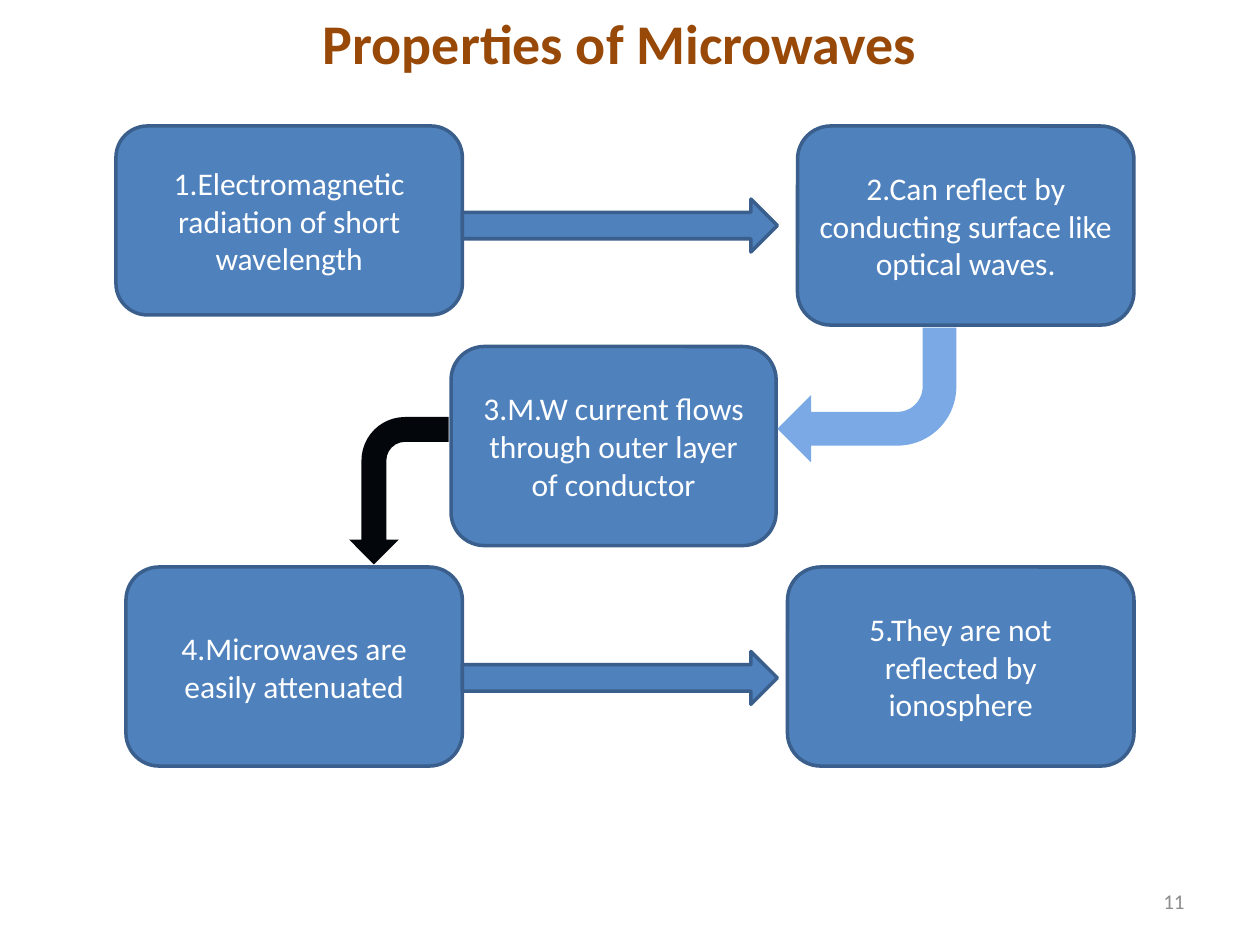
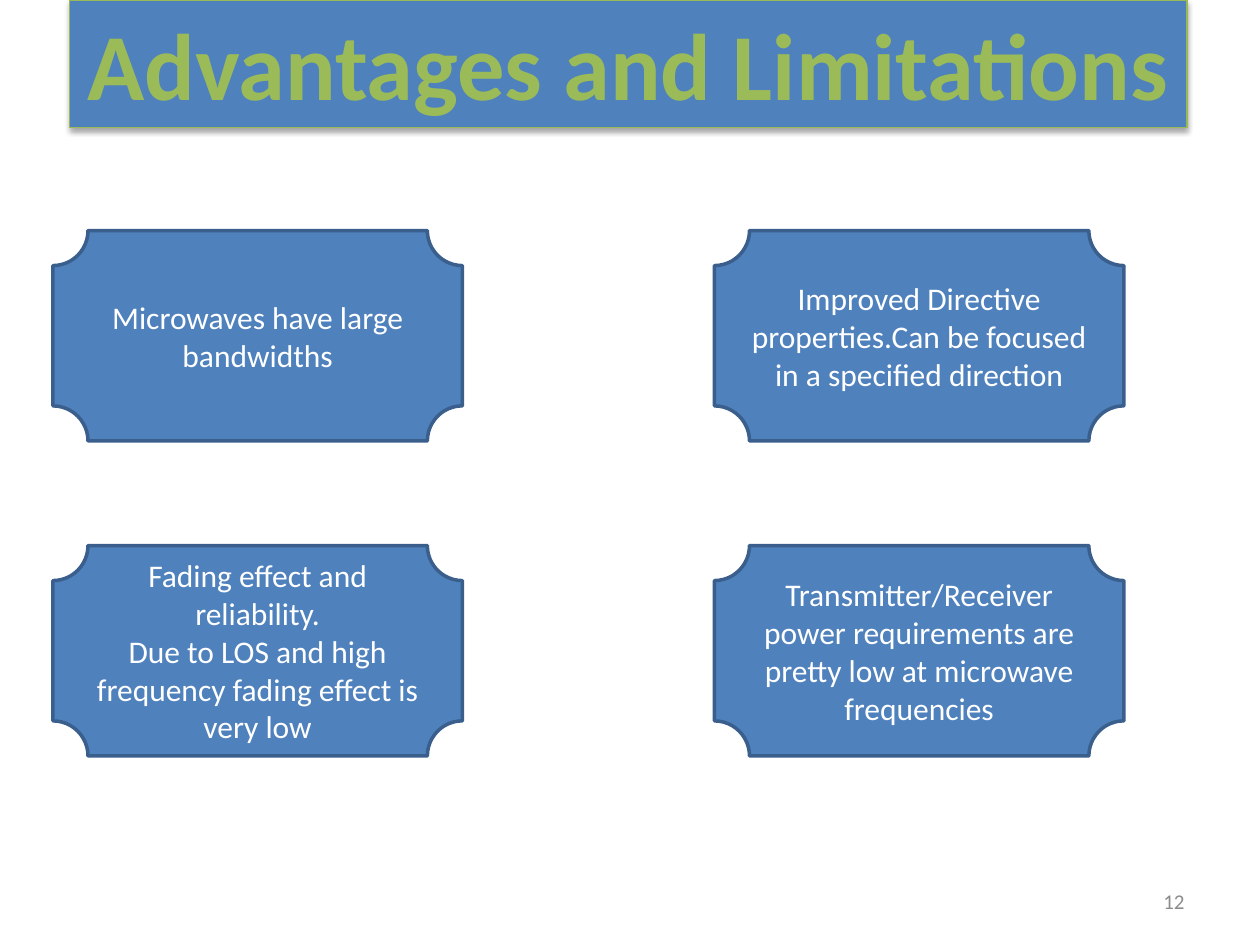
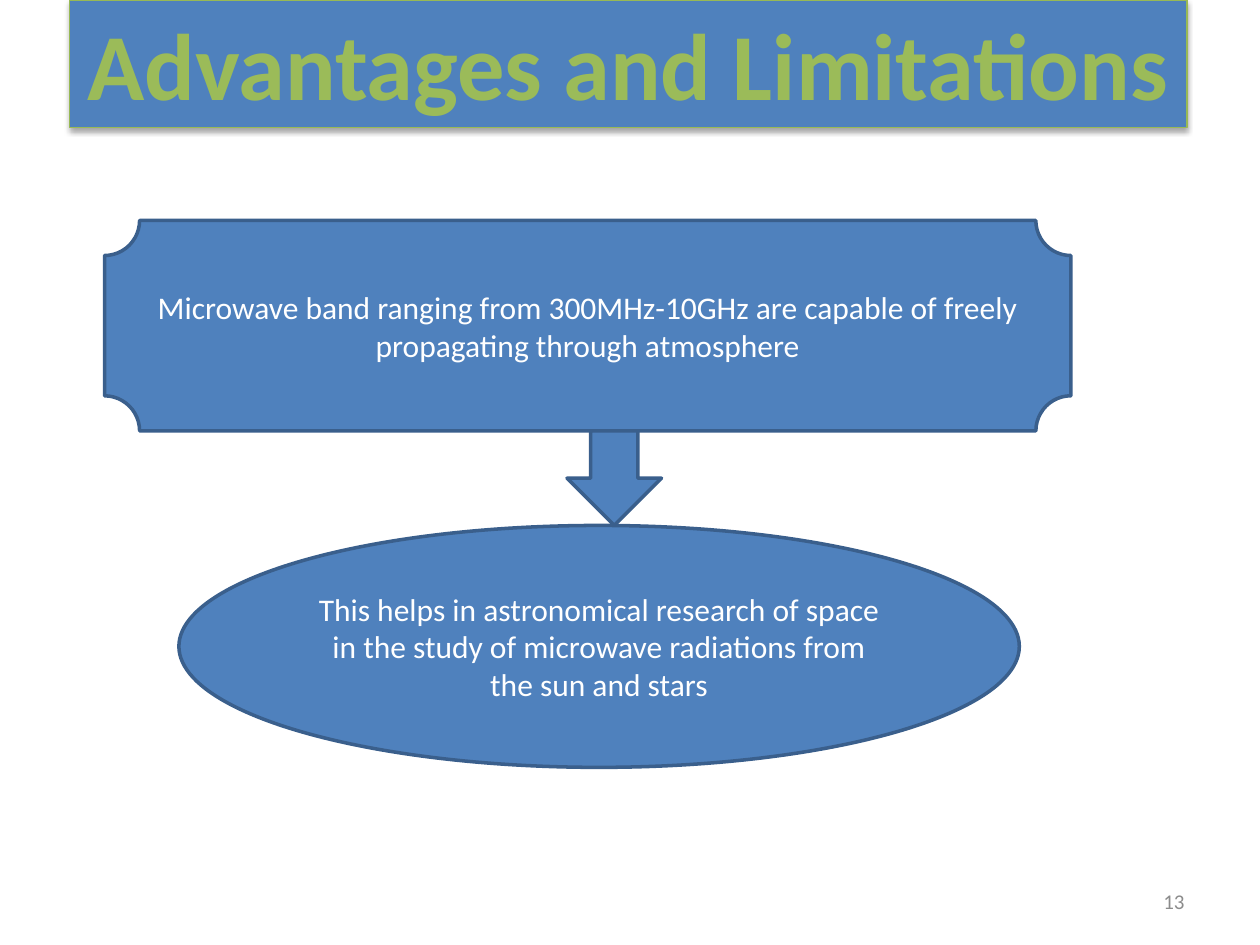
from dataclasses import dataclass

from lxml import etree
from pptx import Presentation
from pptx.dml.color import RGBColor
from pptx.enum.shapes import MSO_SHAPE as Preset
from pptx.enum.text import MSO_ANCHOR as Anchor
from pptx.enum.text import MSO_AUTO_SIZE as AutoSize
from pptx.enum.text import PP_ALIGN as Align
from pptx.oxml.ns import qn
from pptx.util import Inches, Pt


@dataclass(frozen=True)
class Theme:
    font: str = "Calibri"
    blue: str = "4F81BD"
    blue_edge: str = "3A5F8C"
    light_blue: str = "7AA9E6"
    near_black: str = "03070B"
    brown: str = "984807"
    green: str = "9BBB59"
    green_edge: str = "98B955"
    white: str = "FFFFFF"
    gray: str = "8C8C8C"
    title_size: float = 32
    banner_size: float = 54
    body_size: float = 18
    number_size: float = 12
    edge_width: float = 2
    banner_edge_width: float = 0.75


THEME = Theme()
TITLE_ONLY = 5
FIRST_NUMBER = 11
BANNER_TEXT = "Advantages and Limitations"


def place(shape, box):
    for name, value in zip(("left", "top", "width", "height"), box):
        setattr(shape, name, Inches(value))


def write_text(shape, text, size, color, bold=False, align=Align.CENTER,
               **frame_format):
    """Write one paragraph for each line of text."""
    frame = shape.text_frame
    frame.text = text
    frame_values = {"word_wrap": True, "vertical_anchor": Anchor.MIDDLE} | frame_format
    for name, value in frame_values.items():
        setattr(frame, name, value)
    font_values = {"name": THEME.font, "size": Pt(size), "bold": bold}
    for paragraph in frame.paragraphs:
        paragraph.alignment = align
        for run in paragraph.runs:
            for name, value in font_values.items():
                setattr(run.font, name, value)
            run.font.color.rgb = RGBColor.from_string(color)


def paint(shape, fill, edge=None, edge_width=THEME.edge_width):
    shape.fill.solid()
    shape.fill.fore_color.rgb = RGBColor.from_string(fill)
    if edge is None:
        shape.line.fill.background()
    else:
        shape.line.color.rgb = RGBColor.from_string(edge)
        shape.line.width = Pt(edge_width)


def add_soft_shadow(shape):
    effects = etree.SubElement(shape.element.spPr, qn("a:effectLst"))
    shadow = etree.SubElement(
        effects, qn("a:outerShdw"), blurRad=str(Pt(3.1)), dist=str(Pt(1.8)),
        dir="5400000", rotWithShape="0")
    color = etree.SubElement(shadow, qn("a:srgbClr"), val="000000")
    etree.SubElement(color, qn("a:alpha"), val="35000")


def add_figure(slide, preset, box, text="", fill=THEME.blue, edge=THEME.blue_edge):
    shape = slide.shapes.add_shape(preset, *map(Inches, box))
    shape.shadow.inherit = False
    paint(shape, fill, edge)
    if text:
        write_text(shape, text, THEME.body_size, THEME.white)
    return shape


def add_bent_arrow(slide, box, fill, rotation, mirrored=False):
    arrow = add_figure(slide, Preset.BENT_ARROW, box, fill=fill, edge=None)
    arrow.rotation = rotation
    if mirrored:
        arrow.element.spPr.get_or_add_xfrm().set("flipV", "1")


def add_title(slide, text):
    title = slide.shapes.title
    place(title, (0.67, -0.08, 8.5, 0.83))
    write_text(title, text, THEME.title_size, THEME.brown, bold=True)


def add_banner(slide):
    banner = slide.shapes.title
    place(banner, (0.55, 0, 8.87, 1.01))
    paint(banner, THEME.blue, THEME.green_edge, THEME.banner_edge_width)
    add_soft_shadow(banner)
    write_text(banner, BANNER_TEXT, THEME.banner_size, THEME.green, bold=True,
               word_wrap=False, vertical_anchor=Anchor.TOP,
               auto_size=AutoSize.SHAPE_TO_FIT_TEXT)


def add_number(slide, number):
    box = slide.shapes.add_textbox(*map(Inches, (7.17, 6.95, 2.33, 0.4)))
    write_text(box, str(number), THEME.number_size, THEME.gray, align=Align.RIGHT)


def fill_properties(slide):
    add_title(slide, "Properties of Microwaves")
    steps = (
        ((0.92, 1, 2.75, 1.5), "1.Electromagnetic radiation of short wavelength"),
        ((6.33, 1, 2.67, 1.58),
         "2.Can reflect by conducting surface like optical waves."),
        ((3.58, 2.75, 2.58, 1.58),
         "3.M.W current flows through outer layer of conductor"),
        ((1, 4.5, 2.67, 1.58), "4.Microwaves are easily attenuated"),
        ((6.25, 4.5, 2.75, 1.58), "5.They are not reflected by ionosphere"),
    )
    for box, text in steps:
        add_figure(slide, Preset.ROUNDED_RECTANGLE, box, text)
    for top in (1.58, 5.17):
        add_figure(slide, Preset.RIGHT_ARROW, (3.67, top, 2.5, 0.42))
    add_bent_arrow(slide, (6.17, 2.6, 1.42, 1.07), THEME.light_blue, 180)
    add_bent_arrow(slide, (2.58, 3.5, 1.17, 0.79), THEME.near_black, 90, mirrored=True)


def fill_advantages(slide):
    add_banner(slide)
    advantages = (
        "Microwaves have large bandwidths",
        "Improved Directive properties.Can be focused in a specified direction",
        "Fading effect and reliability.\n"
        "Due to LOS and high frequency fading effect is very low",
        "Transmitter/Receiver power requirements are pretty low at microwave "
        "frequencies",
    )
    for index, text in enumerate(advantages):
        row, column = divmod(index, 2)
        box = (0.42 + 5.25 * column, 1.83 + 2.5 * row, 3.25, 1.67)
        add_figure(slide, Preset.PLAQUE, box, text)


def fill_research(slide):
    add_banner(slide)
    add_figure(slide, Preset.PLAQUE, (0.83, 1.75, 7.67, 1.67),
               "Microwave band ranging from 300MHz-10GHz are capable of freely "
               "propagating through atmosphere")
    add_figure(slide, Preset.OVAL, (1.42, 4.17, 6.67, 1.92),
               "This helps in astronomical research of space in the study of "
               "microwave radiations from the sun and stars")
    add_figure(slide, Preset.DOWN_ARROW, (4.5, 3.42, 0.75, 0.75))


def main():
    presentation = Presentation()
    presentation.slide_width = Inches(10)
    presentation.slide_height = Inches(7.5)
    layout = presentation.slide_layouts[TITLE_ONLY]
    fillers = (fill_properties, fill_advantages, fill_research)
    for number, fill_slide in enumerate(fillers, FIRST_NUMBER):
        slide = presentation.slides.add_slide(layout)
        fill_slide(slide)
        add_number(slide, number)
    presentation.save("out.pptx")


if __name__ == "__main__":
    main()
